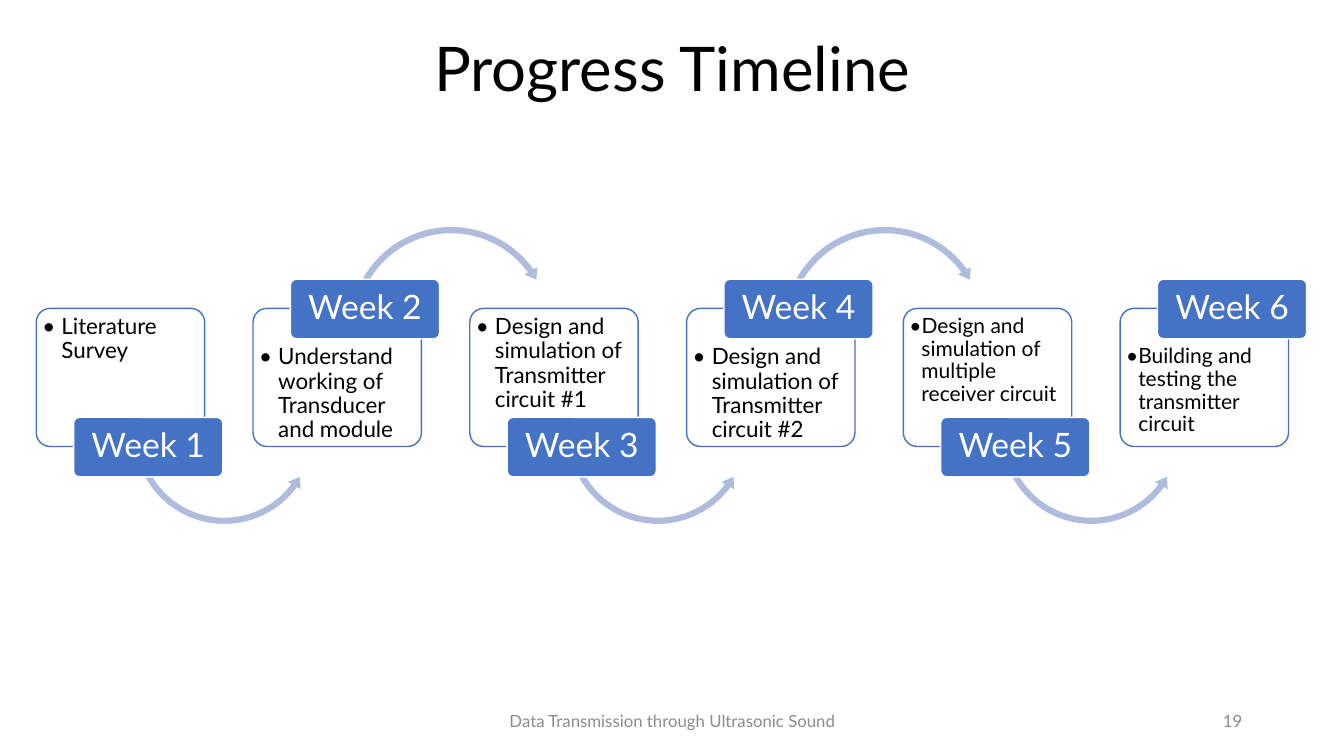
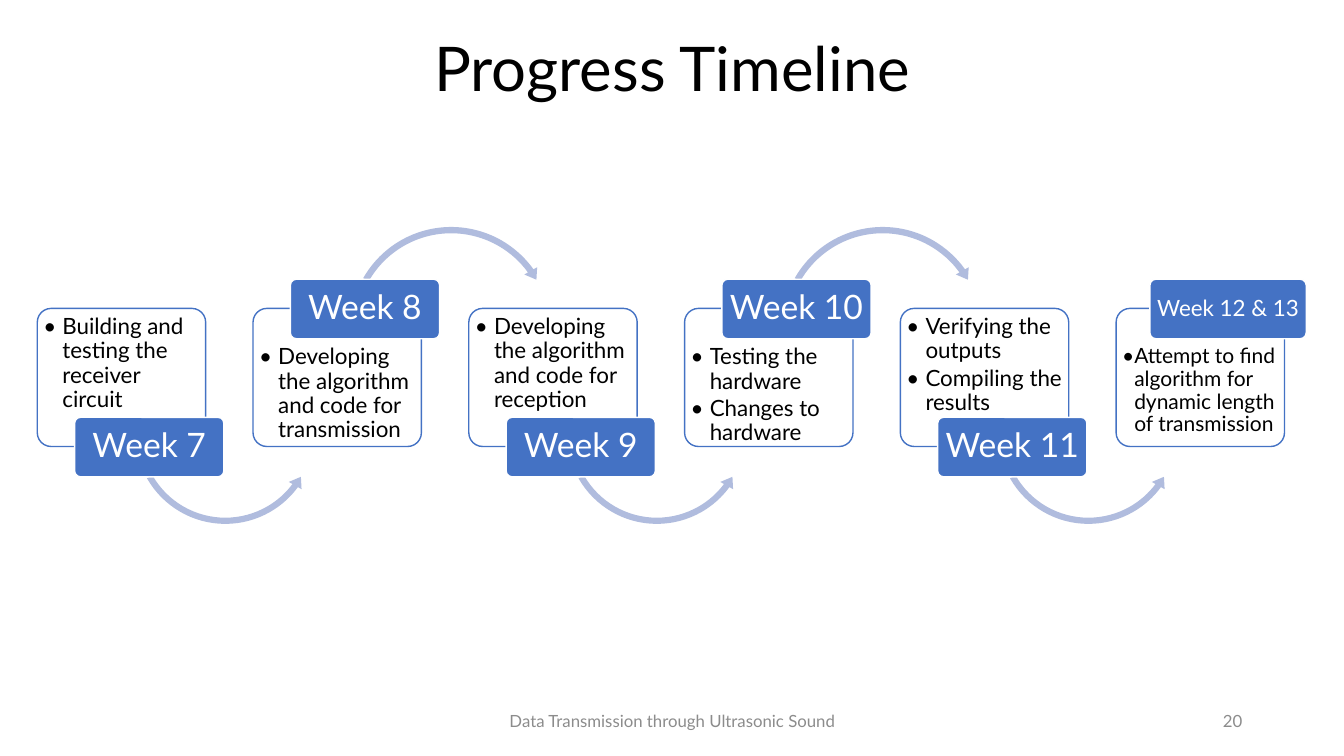
from lxml import etree
from pptx import Presentation
from pptx.dml.color import RGBColor
from pptx.enum.shapes import MSO_SHAPE
from pptx.enum.text import MSO_ANCHOR, PP_ALIGN
from pptx.oxml.ns import qn
from pptx.util import Pt

ROUNDED = MSO_SHAPE.ROUNDED_RECTANGLE
ARC_ABOVE = MSO_SHAPE.CIRCULAR_ARROW
ARC_BELOW = MSO_SHAPE.LEFT_CIRCULAR_ARROW
TOP, MIDDLE = MSO_ANCHOR.TOP, MSO_ANCHOR.MIDDLE
LEFT, CENTER, RIGHT = PP_ALIGN.LEFT, PP_ALIGN.CENTER, PP_ALIGN.RIGHT

TITLE = "Progress Timeline"
FOOTER = "Data Transmission through Ultrasonic Sound"

# Each week: label, tasks, and any format that differs from the usual one
SMALL_TASKS = {"task_size": 15, "indent": 12}
TIMELINES = [
    {"number": "19", "left": 36, "pitch": 215, "weeks": [
        ("Week 1", ["Literature Survey"], {}),
        ("Week 2", ["Understand working of Transducer and module"], {}),
        ("Week 3", ["Design and simulation of Transmitter circuit #1"], {}),
        ("Week 4", ["Design and simulation of Transmitter circuit #2"], {}),
        ("Week 5", ["Design and simulation of multiple receiver circuit"], SMALL_TASKS),
        ("Week 6", ["Building and testing the transmitter circuit"], SMALL_TASKS),
    ]},
    {"number": "20", "left": 37, "pitch": 214, "weeks": [
        ("Week 7", ["Building and testing the receiver circuit"], {}),
        ("Week 8", ["Developing the algorithm and code for transmission"], {}),
        ("Week 9", ["Developing the algorithm and code for reception"], {}),
        ("Week 10", ["Testing the hardware", "Changes to hardware"], {}),
        ("Week 11", ["Verifying the outputs", "Compiling the results"], {}),
        ("Week 12 & 13", ["Attempt to find algorithm for dynamic length of transmission"],
         {**SMALL_TASKS, "label_size": 16, "label_width": 155}),
    ]},
]
WEEK_FORMAT = {"task_size": 16, "indent": 19, "label_size": 24, "label_width": 148}

COLORS = {"text": "000000", "accent": "4472C4", "arc": "B0BCDE",
          "paper": "FFFFFF", "footer": "8C8C8C"}
FONT = "Lato"

EMU_PER_PX = 9144  # 100 px to the inch
SLIDE_SIZE = (1333, 750)
TITLE_BOX = (99, 24, 1136, 94)
FOOTER_BOX = (442, 695, 450, 40)
NUMBER_BOX = (942, 695, 300, 40)
CARD_TOP, CARD_WIDTH, CARD_HEIGHT = 306, 167, 137
LABEL_CENTER, LABEL_HEIGHT = 111, 59
CARD_INSET, LABEL_INSET = 2, 5

# Odd weeks carry the label below the card, even weeks above it
BELOW = {"label_top": 414, "text_top": 3, "arc": ARC_BELOW, "arc_box": (93, 337, 187),
         "arc_bends": (0.033, 4.132, 21.887, 90.245, 0.039)}
ABOVE = {"label_top": 277, "text_top": 33, "arc": ARC_ABOVE, "arc_box": (92, 221, 209),
         "arc_bends": (0.03, 3.68, 194.565, 125.755, 0.035)}


def px(length):
    return round(length * EMU_PER_PX)


def emu(box):
    return [px(length) for length in box]


def set_all(target, values):
    for name, value in values.items():
        setattr(target, name, value)


def write(shape, lines, size, color, align, anchor=MIDDLE, spacing=None, after=0, insets=None):
    """Fill a shape with paragraphs; insets are left, top, right, bottom in px."""
    frame = shape.text_frame
    set_all(frame, {"word_wrap": True, "vertical_anchor": anchor})
    if insets:
        sides = ("margin_left", "margin_top", "margin_right", "margin_bottom")
        set_all(frame, dict(zip(sides, emu(insets))))
    frame.text = "\n".join(lines)
    for paragraph in frame.paragraphs:
        set_all(paragraph, {"alignment": align, "line_spacing": spacing,
                            "space_after": Pt(after)})
        font = paragraph.runs[0].font
        set_all(font, {"name": FONT, "size": Pt(size)})
        font.color.rgb = RGBColor.from_string(COLORS[color])


def add_bullets(shape, indent):
    for paragraph in shape.text_frame.paragraphs:
        properties = paragraph._p.get_or_add_pPr()
        properties.set("marL", str(px(indent)))
        properties.set("indent", str(-px(indent)))
        etree.SubElement(properties, qn("a:buFont")).set("typeface", FONT)
        etree.SubElement(properties, qn("a:buChar")).set("char", "•")


def add_flat_shape(slide, preset, box, fill, line=None, bends=()):
    shape = slide.shapes.add_shape(preset, *emu(box))
    shape.shadow.inherit = False
    shape.fill.solid()
    shape.fill.fore_color.rgb = RGBColor.from_string(COLORS[fill])
    if line:
        shape.line.color.rgb = RGBColor.from_string(COLORS[line])
        shape.line.width = Pt(1)
    else:
        shape.line.fill.background()
    for index, bend in enumerate(bends):
        shape.adjustments[index] = bend
    return shape


def add_week(slide, left, week, side, has_next):
    label_text, tasks, changes = week
    style = {**WEEK_FORMAT, **changes}

    card = add_flat_shape(slide, ROUNDED, (left, CARD_TOP, CARD_WIDTH, CARD_HEIGHT),
                          "paper", "accent", [0.1])
    write(card, tasks, style["task_size"], "text", LEFT, TOP, spacing=0.9, after=2.4,
          insets=(CARD_INSET, side["text_top"], CARD_INSET, 0))
    add_bullets(card, style["indent"])

    if has_next:
        arc_left, arc_top, arc_size = side["arc_box"]
        add_flat_shape(slide, side["arc"], (left + arc_left, arc_top, arc_size, arc_size),
                       "arc", bends=side["arc_bends"])

    width = style["label_width"]
    label_box = (left + LABEL_CENTER - width / 2, side["label_top"], width, LABEL_HEIGHT)
    label = add_flat_shape(slide, ROUNDED, label_box, "accent", "paper", [0.1])
    write(label, [label_text], style["label_size"], "paper", CENTER, spacing=0.9,
          insets=(LABEL_INSET,) * 4)


def add_frame(slide, number):
    """Place the title, footer and slide number that every slide shares."""
    title = slide.shapes.title
    set_all(title, dict(zip(("left", "top", "width", "height"), emu(TITLE_BOX))))
    write(title, [TITLE], 44, "text", CENTER, spacing=0.9)
    for box, text, align in ((NUMBER_BOX, number, RIGHT), (FOOTER_BOX, FOOTER, CENTER)):
        write(slide.shapes.add_textbox(*emu(box)), [text], 12, "footer", align)


def main():
    deck = Presentation()
    deck.slide_width, deck.slide_height = emu(SLIDE_SIZE)
    title_only = deck.slide_layouts[5]
    for timeline in TIMELINES:
        slide = deck.slides.add_slide(title_only)
        add_frame(slide, timeline["number"])
        weeks = timeline["weeks"]
        for index, week in enumerate(weeks):
            left = timeline["left"] + index * timeline["pitch"]
            side = ABOVE if index % 2 else BELOW
            add_week(slide, left, week, side, index < len(weeks) - 1)
    deck.save("out.pptx")


if __name__ == "__main__":
    main()
